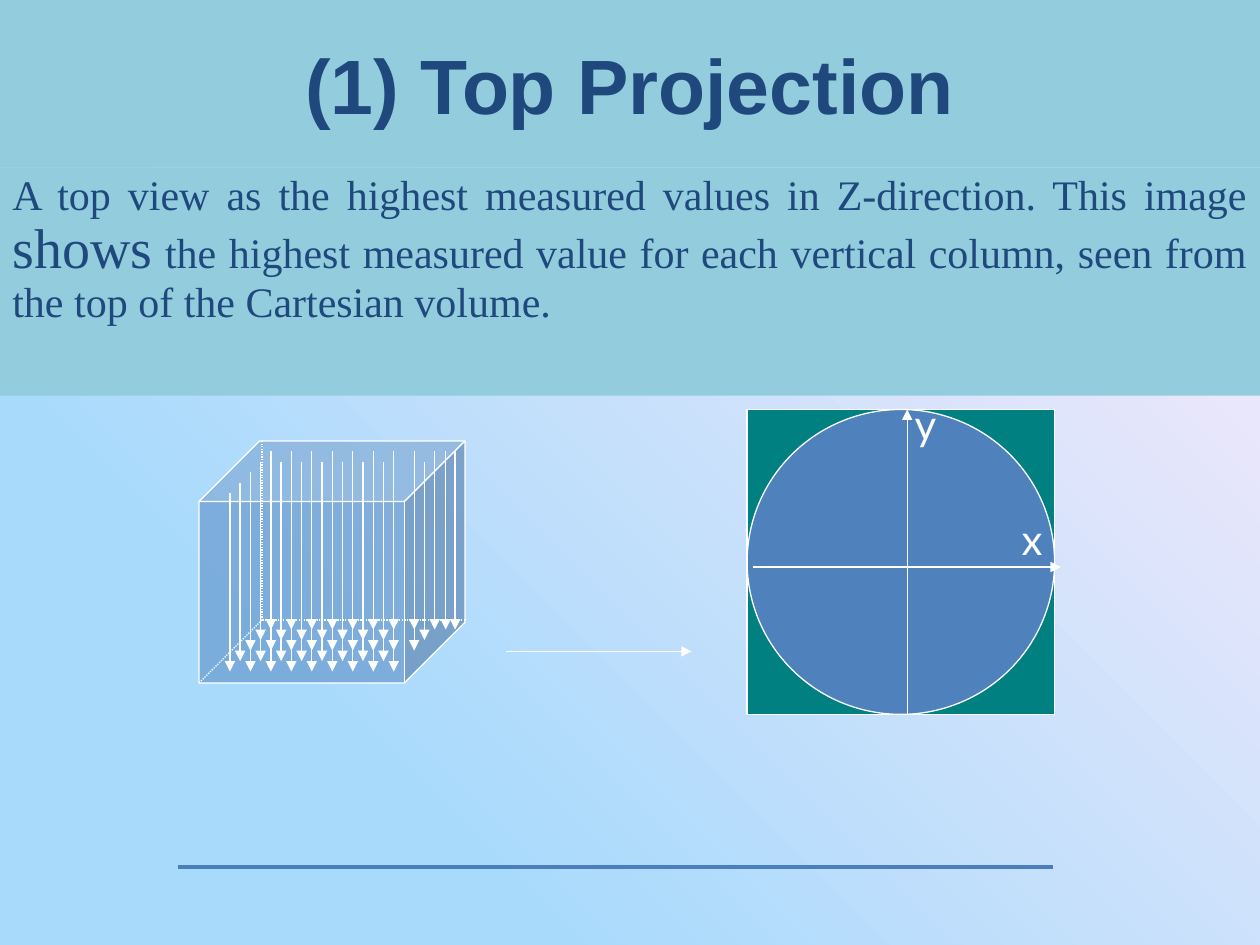
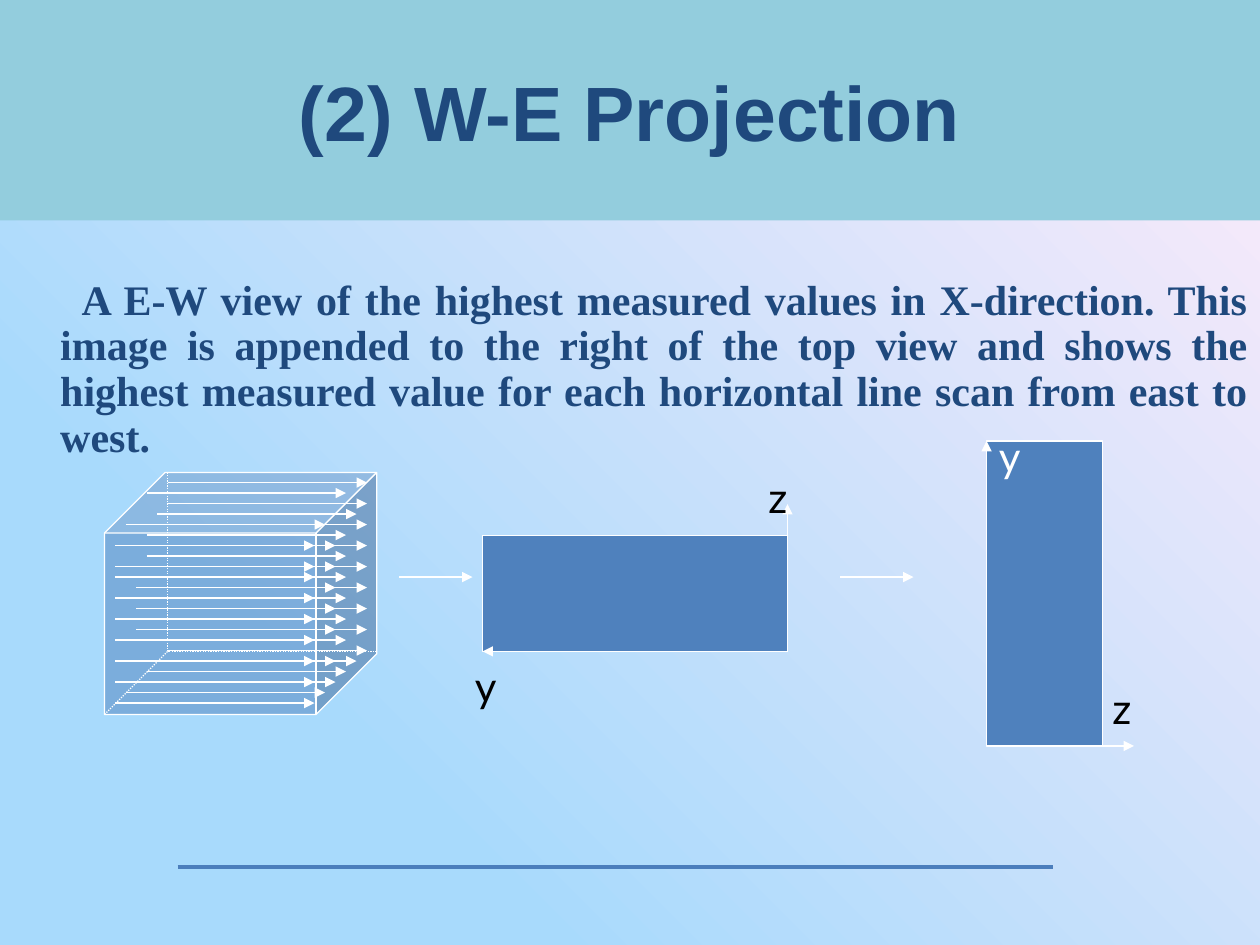
import pptx
import pptx.dml.color
import pptx.enum.dml
import pptx.enum.shapes
import pptx.enum.text
import pptx.oxml
import pptx.oxml.ns
import pptx.util
from pptx.util import Inches

SKY, BLUSH = "A8DAFC", "FFEBFA"
BAND, NAVY, RULE = "93CDDD", "1F497D", "4B7EBC"
BLUE, TEAL, WHITE, BLACK = "4F81BD", "008080", "FFFFFF", "000000"
TITLE_FONT, BODY_FONT, LABEL_FONT = "Arial", "Times New Roman", "Lato"
SHAPE = pptx.enum.shapes.MSO_SHAPE
ALIGN = pptx.enum.text.PP_ALIGN
ANCHOR = pptx.enum.text.MSO_ANCHOR
STEP = 1 / 12
COLUMN_GAP = 0.1625
SCAN_DOWN, SCAN_ACROSS = 17 * STEP, 19 * STEP

TOP_TEXT = [
    ("A top view as the highest measured values in Z-direction. This image ", 24),
    ("shows", 32),
    (" the highest measured value for each vertical column, "
     "seen from the top of the Cartesian volume.", 24),
]
SIDE_TEXT = [
    ("A E-W view of the highest measured values in X-direction. This image is "
     "appended to the right of the top view and shows the highest measured value "
     "for each horizontal line scan from east to west.", 24),
]
COLUMNS_BY_DEPTH = [
    [*range(10), 8.54],
    [*range(7), 8],
    range(9),
    range(8),
    range(9),
]
ROWS_BY_DEPTH = [
    range(0, 17, 2),
    [3, 17],
    [1, *range(5, 16, 2), 18],
    [*range(6, 15, 2), 17, 19],
    [4, 20],
    [6, 8, *range(9, 22, 2)],
]


def color(value):
    return pptx.dml.color.RGBColor.from_string(value)


def parse_xml(tag, content, attributes=""):
    namespace = pptx.oxml.ns.nsdecls("a")
    return pptx.oxml.parse_xml(f"<a:{tag} {namespace} {attributes}>{content}</a:{tag}>")


def format_run(run, font, size, fill, bold=False):
    run.font.name = font
    run.font.size = pptx.util.Pt(size)
    run.font.color.rgb = color(fill)
    run.font.bold = bold


def set_background(master):
    master.background.fill.solid()
    properties = master.background._cSld.bg.bgPr
    stops = (
        f'<a:gs pos="25000"><a:srgbClr val="{SKY}"><a:alpha val="90000"/></a:srgbClr></a:gs>'
        f'<a:gs pos="100000"><a:srgbClr val="{BLUSH}"/></a:gs>'
    )
    gradient = parse_xml(
        "gradFill",
        f'<a:gsLst>{stops}</a:gsLst><a:path path="circle">'
        '<a:fillToRect l="0" t="100000" r="100000" b="0"/></a:path>',
        'rotWithShape="1"',
    )
    properties.replace(properties[0], gradient)


def add_line(slide, start, end, stroke=WHITE, width=0.75, dotted=False, arrow=False):
    connector = slide.shapes.add_connector(
        pptx.enum.shapes.MSO_CONNECTOR.STRAIGHT,
        *(Inches(value) for value in (*start, *end)),
    )
    connector.line.color.rgb = color(stroke)
    connector.line.width = pptx.util.Pt(width)
    if dotted:
        connector.line.dash_style = pptx.enum.dml.MSO_LINE.ROUND_DOT
    if arrow:
        connector.line._get_or_add_ln().append(parse_xml("tailEnd", "", 'type="triangle"'))
    connector._element.spPr.append(parse_xml("effectLst", ""))


def add_arrow(slide, start, end):
    add_line(slide, start, end, arrow=True)


def add_figure(slide, kind, left, top, width, height, fill=BLUE, outline=WHITE):
    shape = slide.shapes.add_shape(
        kind, Inches(left), Inches(top), Inches(width), Inches(height)
    )
    shape.shadow.inherit = False
    shape.fill.solid()
    shape.fill.fore_color.rgb = color(fill)
    if outline:
        shape.line.color.rgb = color(outline)
        shape.line.width = pptx.util.Pt(0.75)
    else:
        shape.line.fill.background()
    return shape


def add_cube(slide, left, top, width, height):
    cube = add_figure(slide, SHAPE.CUBE, left, top, width, height)
    cube.adjustments[0] = 0.25
    fill_color = cube._element.spPr.find(".//" + pptx.oxml.ns.qn("a:srgbClr"))
    fill_color.append(parse_xml("alpha", "", 'val="50000"'))
    corner = (left + 0.5, top + height - 0.5)
    for end in [(left, top + height), (left + width, corner[1]), (corner[0], top)]:
        add_line(slide, end, corner, dotted=True)


def add_label(slide, text, left, top, fill):
    box = slide.shapes.add_textbox(Inches(left), Inches(top), Inches(0.35), Inches(0.45))
    box.text_frame.word_wrap = False
    box.text_frame.text = text
    paragraph = box.text_frame.paragraphs[0]
    paragraph.line_spacing = 0.87
    format_run(paragraph.runs[0], LABEL_FONT, 24, fill)


def fill_body(shape, pieces, bold=False):
    frame = shape.text_frame
    frame.word_wrap = True
    frame.vertical_anchor = ANCHOR.TOP
    paragraph = frame.paragraphs[0]
    paragraph.alignment = ALIGN.JUSTIFY
    paragraph.line_spacing = 0.91
    for text, size in pieces:
        run = paragraph.add_run()
        run.text = text
        format_run(run, BODY_FONT, size, NAVY, bold)
    return paragraph


def add_titled_slide(presentation, text, band_height):
    slide = presentation.slides.add_slide(presentation.slide_layouts[5])
    title = slide.shapes.title
    title.left, title.top = Inches(0), Inches(0)
    title.width, title.height = Inches(10), Inches(band_height)
    title.fill.solid()
    title.fill.fore_color.rgb = color(BAND)
    title.text_frame.text = text
    title.text_frame.vertical_anchor = ANCHOR.MIDDLE
    paragraph = title.text_frame.paragraphs[0]
    paragraph.alignment = ALIGN.CENTER
    format_run(paragraph.runs[0], TITLE_FONT, 44, NAVY, bold=True)
    add_line(slide, (1.41, 6.88), (8.36, 6.88), RULE, 2)
    return slide


def build_top_projection(presentation):
    slide = add_titled_slide(presentation, "(1) Top Projection", 1.33)
    body = add_figure(slide, SHAPE.RECTANGLE, 0, 1.33, 10, 1.81, BAND, None)
    fill_body(body, TOP_TEXT)

    add_cube(slide, 1.58, 3.5, 2.11, 1.92)
    for depth, columns in enumerate(COLUMNS_BY_DEPTH):
        top = 3.58 + depth * STEP
        for column in columns:
            x = 2.15 - depth * COLUMN_GAP / 2 + column * COLUMN_GAP
            add_arrow(slide, (x, top), (x, top + SCAN_DOWN))
    add_arrow(slide, (4.02, 5.17), (5.49, 5.17))

    for kind, fill in [(SHAPE.RECTANGLE, TEAL), (SHAPE.OVAL, BLUE)]:
        add_figure(slide, kind, 5.93, 3.25, 2.44, 2.42, fill)
    add_arrow(slide, (5.98, 4.5), (8.42, 4.5))
    add_arrow(slide, (7.2, 5.67), (7.2, 3.25))
    add_label(slide, "x", 8.01, 4.08, WHITE)
    add_label(slide, "y", 7.16, 3.17, WHITE)


def build_side_projection(presentation):
    slide = add_titled_slide(presentation, "(2) W-E Projection", 1.75)
    body = slide.shapes.add_textbox(Inches(0), Inches(2.16), Inches(10), Inches(1.5))
    properties = fill_body(body, SIDE_TEXT, bold=True)._p.get_or_add_pPr()
    properties.set("marL", str(Inches(0.38)))
    properties.set("indent", str(Inches(0.17)))

    add_cube(slide, 0.83, 3.75, 2.16, 1.92)
    for depth, rows in enumerate(ROWS_BY_DEPTH):
        left = 1.33 - depth * STEP
        for row in rows:
            y = 3.83 + row * STEP
            add_arrow(slide, (left, y), (left + SCAN_ACROSS, y))
    for left in (3.17, 6.67):
        add_arrow(slide, (left, 4.58), (left + 0.58, 4.58))

    add_figure(slide, SHAPE.RECTANGLE, 3.83, 4.25, 2.42, 0.92)
    add_arrow(slide, (6.25, 5.17), (3.83, 5.17))
    add_arrow(slide, (6.25, 5.17), (6.25, 4))
    add_label(slide, "y", 3.67, 5.25, BLACK)
    add_label(slide, "z", 6, 3.75, BLACK)

    add_figure(slide, SHAPE.RECTANGLE, 7.83, 3.5, 0.92, 2.42)
    add_arrow(slide, (7.83, 5.92), (7.83, 3.5))
    add_arrow(slide, (7.83, 5.92), (9, 5.92))
    add_label(slide, "y", 7.83, 3.42, WHITE)
    add_label(slide, "z", 8.73, 5.42, BLACK)


def main():
    presentation = pptx.Presentation()
    presentation.slide_width = Inches(10)
    presentation.slide_height = Inches(7.5)
    set_background(presentation.slide_master)
    build_top_projection(presentation)
    build_side_projection(presentation)
    presentation.save("out.pptx")


if __name__ == "__main__":
    main()
